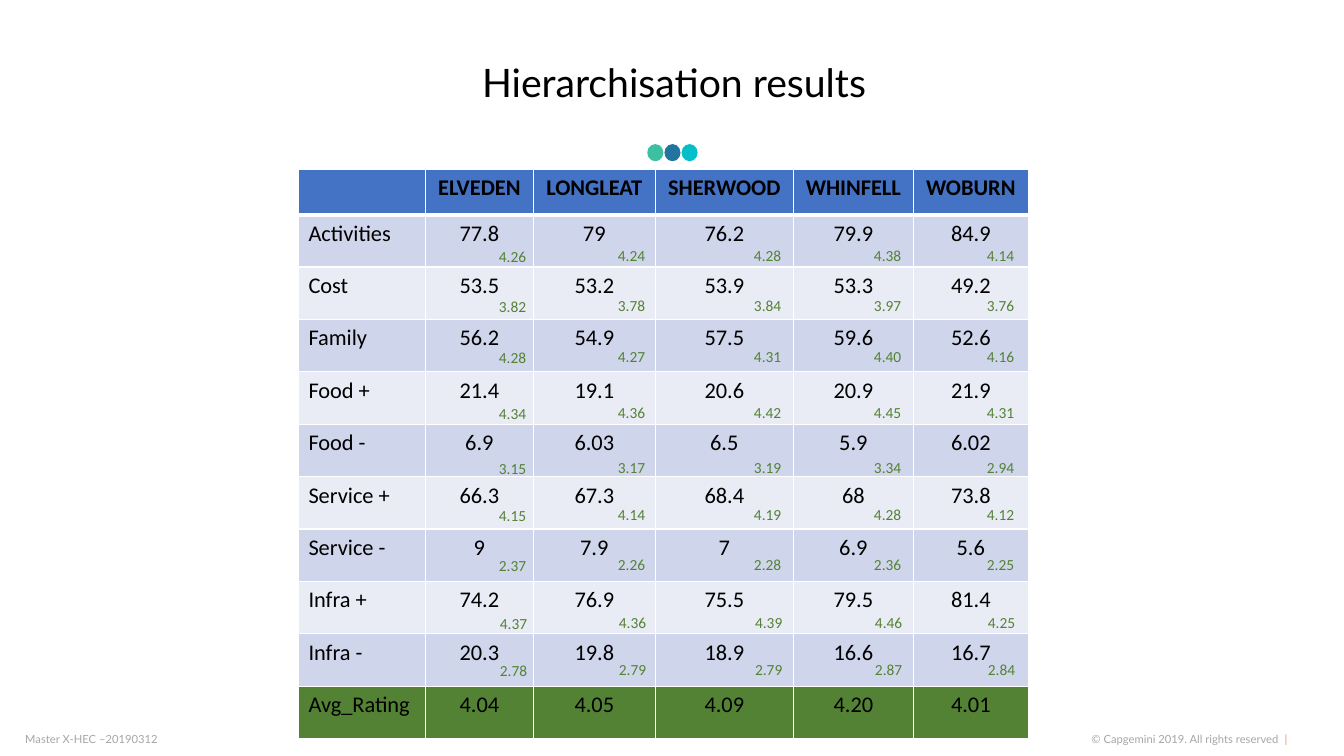
from lxml import etree
from pptx import Presentation
from pptx.dml.color import RGBColor
from pptx.enum import shapes, text
from pptx.oxml import ns
from pptx.util import Inches, Pt

BLACK = RGBColor(0x00, 0x00, 0x00)
GREY = RGBColor(0xA6, 0xA6, 0xA6)
ORANGE = RGBColor(0xE3, 0x97, 0x74)
GREEN = RGBColor(0x54, 0x82, 0x35)
HEADER_BLUE = RGBColor(0x44, 0x72, 0xC4)
BAND_DARK = RGBColor(0xCF, 0xD5, 0xEA)
BAND_LIGHT = RGBColor(0xE9, 0xEB, 0xF5)
DOTS = [RGBColor(0x3D, 0xBF, 0xA1), RGBColor(0x22, 0x75, 0x9E), RGBColor(0x04, 0xBF, 0xC8)]
LEFT, CENTER, RIGHT = text.PP_ALIGN.LEFT, text.PP_ALIGN.CENTER, text.PP_ALIGN.RIGHT

PARKS = ["ELVEDEN", "LONGLEAT", "SHERWOOD", "WHINFELL", "WOBURN"]
SCORES = [
    ["Activities", "77.8", "79", "76.2", "79.9", "84.9"],
    ["Cost", "53.5", "53.2", "53.9", "53.3", "49.2"],
    ["Family", "56.2", "54.9", "57.5", "59.6", "52.6"],
    ["Food +", "21.4", "19.1", "20.6", "20.9", "21.9"],
    ["Food -", "6.9", "6.03", "6.5", "5.9", "6.02"],
    ["Service +", "66.3", "67.3", "68.4", "68", "73.8"],
    ["Service -", "9", "7.9", "7", "6.9", "5.6"],
    ["Infra +", "74.2", "76.9", "75.5", "79.5", "81.4"],
    ["Infra -", "20.3", "19.8", "18.9", "16.6", "16.7"],
    ["Avg_Rating", "4.04", "4.05", "4.09", "4.20", "4.01"],
]
# Top of each line of ratings, then one rating per park
RATINGS = [
    (2.39, ["4.26", "4.24", "4.28", "4.38", "4.14"]),
    (2.89, ["3.82", "3.78", "3.84", "3.97", "3.76"]),
    (3.39, ["4.28", "4.27", "4.31", "4.40", "4.16"]),
    (3.95, ["4.34", "4.36", "4.42", "4.45", "4.31"]),
    (4.50, ["3.15", "3.17", "3.19", "3.34", "2.94"]),
    (4.96, ["4.15", "4.14", "4.19", "4.28", "4.12"]),
    (5.46, ["2.37", "2.26", "2.28", "2.36", "2.25"]),
    (6.03, ["4.37", "4.36", "4.39", "4.46", "4.25"]),
    (6.50, ["2.78", "2.79", "2.79", "2.87", "2.84"]),
]
RATING_LEFTS = [4.85, 6.03, 7.38, 8.57, 9.69]


def write(frame, spans, align=LEFT, **format_values):
    """Fill the first paragraph with (wording, colour) spans."""
    para = frame.paragraphs[0]
    para.alignment = align
    for wording, colour in spans:
        span = para.add_run()
        span.text = wording
        span.font.color.rgb = colour
        for name, value in format_values.items():
            setattr(span.font, name, value)
    return para


def add_text(left, top, width, height, spans, align=LEFT, margin=None, wrap=True,
             anchor=text.MSO_ANCHOR.MIDDLE, **format_values):
    box = page.shapes.add_textbox(Inches(left), Inches(top), Inches(width), Inches(height))
    frame = box.text_frame
    frame.word_wrap = wrap
    frame.vertical_anchor = anchor
    if margin is not None:
        for side in ("left", "top", "right", "bottom"):
            setattr(frame, f"margin_{side}", Inches(margin))
    return write(frame, spans, align, **format_values)


deck = Presentation()
deck.slide_width, deck.slide_height = Inches(13.33), Inches(7.5)
page = deck.slides.add_slide(deck.slide_layouts[6])

# Footer
footer = {"name": "Lato", "size": Pt(8)}
add_text(9.86, 7.27, 2.91, 0.13,
         [("© Capgemini 2019. All rights reserved  ", GREY), ("|", ORANGE)],
         RIGHT, margin=0, **footer)
add_text(0.25, 7.27, 5.16, 0.13, [("Master X-HEC –20190312", GREY)],
         margin=0, wrap=False, **footer)

# Title and the three dots below it
title = add_text(0.45, 0.27, 12.47, 1.14, [("Hierarchisation results", BLACK)],
                 CENTER, name="Lato", size=Pt(28))
title.line_spacing = 0.9
for index, colour in enumerate(DOTS):
    dot = page.shapes.add_shape(shapes.MSO_SHAPE.OVAL, Inches(6.42 + 0.17 * index),
                                Inches(1.43), Inches(0.16), Inches(0.17))
    dot.shadow.inherit = False
    dot.fill.solid()
    dot.fill.fore_color.rgb = colour
    dot.line.fill.background()

# Score table
rows = [["", *PARKS], *SCORES]
last = len(rows) - 1
table = page.shapes.add_table(len(rows), 6, Inches(2.96), Inches(1.68),
                              Inches(7.24), Inches(5.68)).table
for column, width in zip(table.columns, [1.26, 1.07, 1.21, 1.37, 1.19, 1.14]):
    column.width = Inches(width)
for r, row in enumerate(rows):
    table.rows[r].height = Inches(0.45 if r == 0 else 0.52)
    if r in (0, last):
        fill = HEADER_BLUE if r == 0 else GREEN
    else:
        fill = BAND_DARK if r % 2 else BAND_LIGHT
    for c, wording in enumerate(row):
        cell = table.cell(r, c)
        # White borders, thicker under the header
        thick = {0: "lnB", 1: "lnT"}.get(r)
        properties = cell._tc.get_or_add_tcPr()
        for edge in ("lnL", "lnR", "lnT", "lnB"):
            line = etree.SubElement(properties, ns.qn(f"a:{edge}"),
                                    w=str(Pt(3 if edge == thick else 1)))
            solid = etree.SubElement(line, ns.qn("a:solidFill"))
            etree.SubElement(solid, ns.qn("a:srgbClr"), val="FFFFFF")
        cell.fill.solid()
        cell.fill.fore_color.rgb = fill
        if wording:
            write(cell.text_frame, [(wording, BLACK)], CENTER if c else LEFT,
                  name="Calibri", size=Pt(16), bold=r == 0)

# Ratings beside the scores; the first column sits slightly lower
for top, ratings in RATINGS:
    shift = 0.01 if top > 6 else 0
    for c, (left, rating) in enumerate(zip(RATING_LEFTS, ratings)):
        add_text(left + shift, top + (0.01 if c == 0 else 0), 0.5, 0.29, [(rating, GREEN)],
                 anchor=text.MSO_ANCHOR.TOP, name="Calibri", size=Pt(11))

deck.save("out.pptx")
